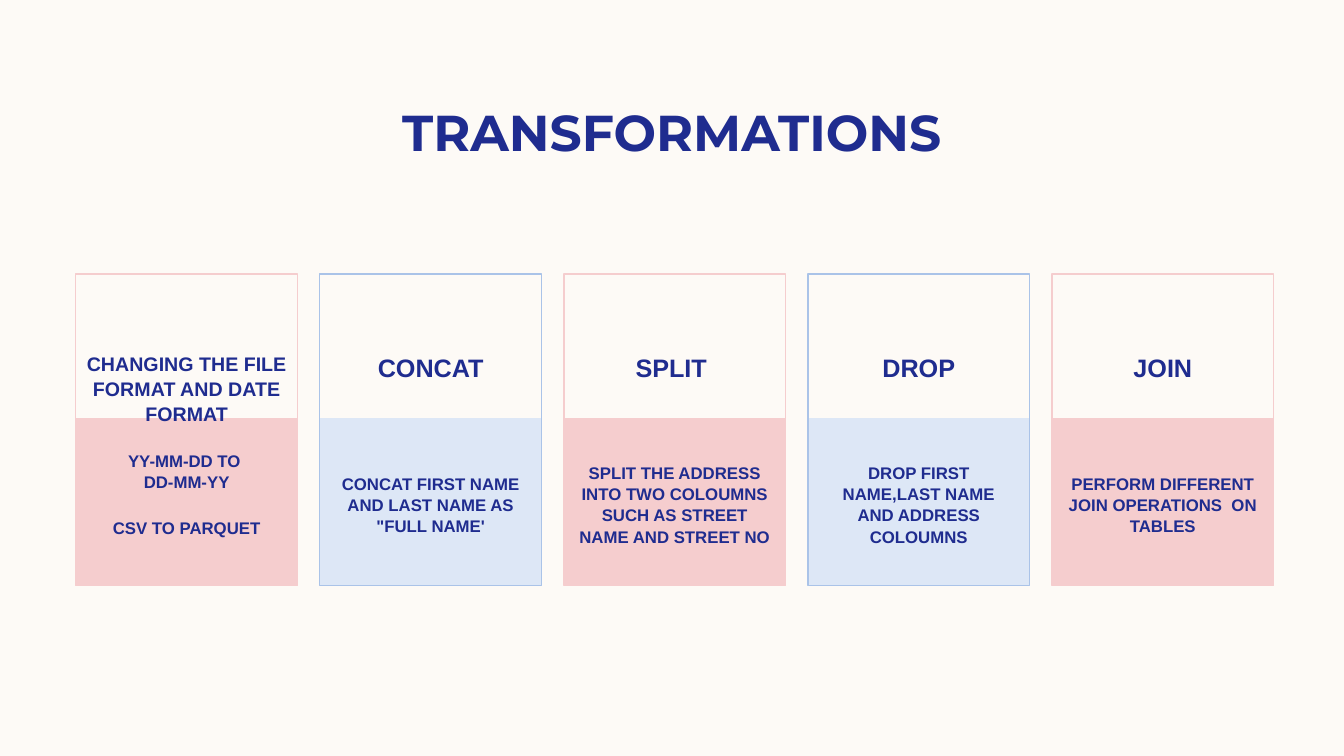
from pptx import Presentation
from pptx.dml.color import RGBColor
from pptx.enum.shapes import MSO_SHAPE
from pptx.enum.text import MSO_ANCHOR, PP_ALIGN
from pptx.util import Cm, Pt

RECTANGLE = MSO_SHAPE.RECTANGLE
TOP, MIDDLE = MSO_ANCHOR.TOP, MSO_ANCHOR.MIDDLE
CENTER = PP_ALIGN.CENTER

CREAM = RGBColor(0xFD, 0xFA, 0xF6)
NAVY = RGBColor(0x1F, 0x2C, 0x8F)
PINK = RGBColor(0xF5, 0xCD, 0xCE)
PALE_BLUE = RGBColor(0xDD, 0xE7, 0xF6)
BLUE = RGBColor(0xAA, 0xC3, 0xE8)

# Card grid, in centimetres
CARD_LEFT, CARD_PITCH, CARD_WIDTH = 1.91, 6.15, 5.59
CARD_TOP, CARD_HEIGHT = 6.91, 7.85
PANEL_TOP, PANEL_HEIGHT = 10.54, 4.22
DETAIL_INDENT, DETAIL_TOP, DETAIL_HEIGHT = 0.13, 10.8, 3.81

# Heading, heading size, detail paragraphs
TRANSFORMATIONS = [
    ("CHANGING THE FILE FORMAT AND DATE FORMAT", 14,
     ["YY-MM-DD TO ", "DD-MM-YY", "CSV TO PARQUET"]),
    ("CONCAT", 18, ["CONCAT FIRST NAME AND LAST NAME AS \"FULL NAME'"]),
    ("SPLIT ", 18,
     ["SPLIT THE ADDRESS INTO TWO COLOUMNS SUCH AS STREET NAME AND STREET NO"]),
    ("DROP", 18, ["DROP FIRST NAME,LAST NAME AND ADDRESS COLOUMNS"]),
    ("JOIN", 18, ["PERFORM DIFFERENT JOIN OPERATIONS  ON TABLES"]),
]


class CardSlide:
    """Holds the slide and its text style."""

    def __init__(self, slide, font="Arial", color=NAVY):
        self.slide, self.font, self.color = slide, font, color
        background = slide.background.fill
        background.solid()
        background.fore_color.rgb = CREAM

    def rectangle(self, left, top, width, height, fill=None, line=None):
        box = self.slide.shapes.add_shape(
            RECTANGLE, Cm(left), Cm(top), Cm(width), Cm(height))
        box.shadow.inherit = False
        if fill is None:
            box.fill.background()
        else:
            box.fill.solid()
            box.fill.fore_color.rgb = fill
        if line is None:
            box.line.fill.background()
        else:
            box.line.color.rgb = line
            box.line.width = Pt(1)
        return box

    def textbox(self, left, top, width, height):
        return self.slide.shapes.add_textbox(
            Cm(left), Cm(top), Cm(width), Cm(height))

    def set_text(self, box, lines, size, anchor=MIDDLE, font=None, spacing=1.05):
        frame = box.text_frame
        frame.word_wrap = True
        frame.vertical_anchor = anchor
        frame.text = "\n".join(lines)
        for paragraph in frame.paragraphs:
            paragraph.alignment = CENTER
            paragraph.line_spacing = spacing
            for run in paragraph.runs:
                run.font.name = font or self.font
                run.font.size = Pt(size)
                run.font.bold = True
                run.font.color.rgb = self.color
        return frame

    def card(self, left, heading, heading_size, details, fill, line):
        # Coloured lower panel
        self.rectangle(left, PANEL_TOP, CARD_WIDTH, PANEL_HEIGHT, fill=fill)

        # Outline with heading
        outline = self.rectangle(left, CARD_TOP, CARD_WIDTH, CARD_HEIGHT, line=line)
        heading_frame = self.set_text(outline, [heading], heading_size, TOP)
        heading_frame.margin_top = Cm(1.94)

        # Detail text
        detail = self.textbox(left + DETAIL_INDENT, DETAIL_TOP,
                              CARD_WIDTH - 2 * DETAIL_INDENT, DETAIL_HEIGHT)
        detail_frame = self.set_text(detail, details, 12)
        if len(details) > 1:
            detail_frame.paragraphs[-1].space_before = Pt(18)
            detail_frame.margin_bottom = Cm(0.64)


def main():
    deck = Presentation()
    deck.slide_width, deck.slide_height = Cm(33.87), Cm(19.05)
    page = CardSlide(deck.slides.add_slide(deck.slide_layouts[6]))

    # Title
    title = page.textbox(2.11, 2.34, 29.64, 2.13)
    page.set_text(title, ["TRANSFORMATIONS"], 36, font="Montserrat", spacing=0.9)

    # Cards in alternating colours
    schemes = [(PINK, PINK), (PALE_BLUE, BLUE)]
    for index, (heading, size, details) in enumerate(TRANSFORMATIONS):
        fill, line = schemes[index % 2]
        page.card(CARD_LEFT + index * CARD_PITCH, heading, size, details, fill, line)

    deck.save("out.pptx")


if __name__ == "__main__":
    main()
